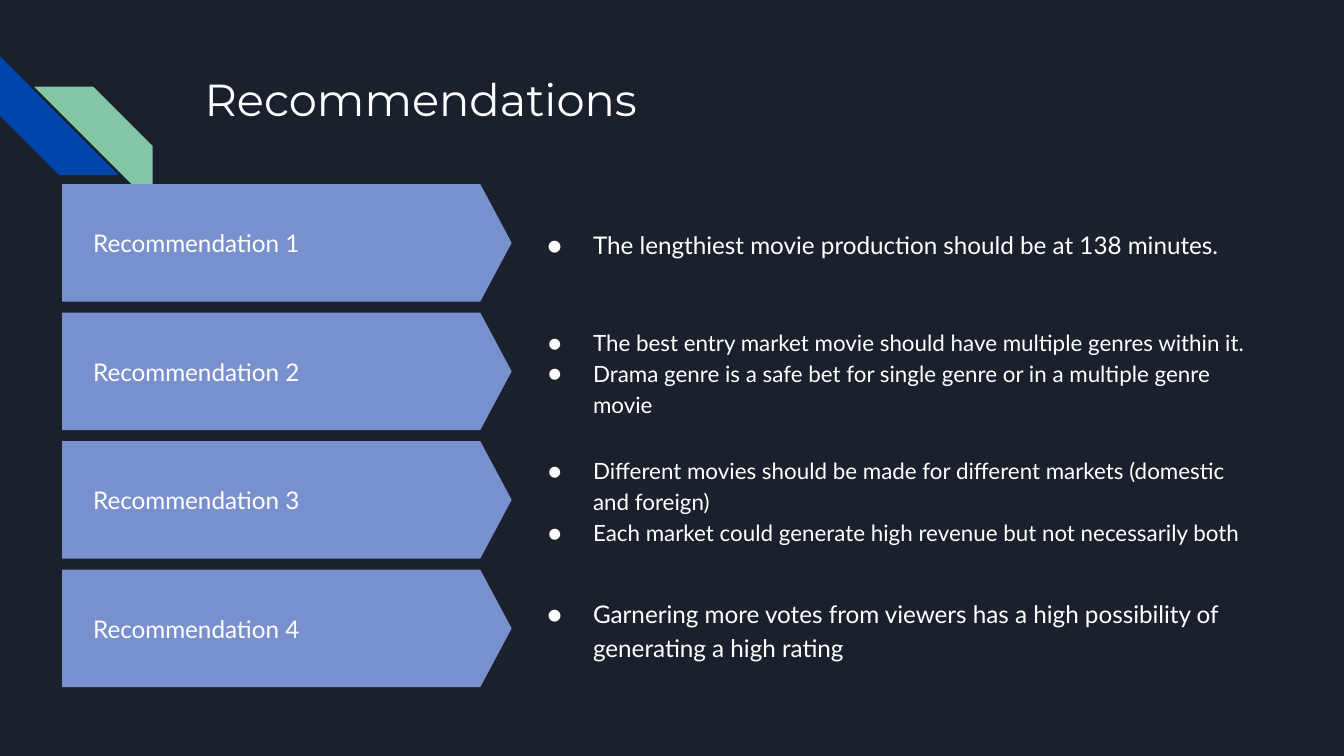
from dataclasses import dataclass

from lxml.etree import SubElement
from pptx import Presentation
from pptx.dml.color import RGBColor
from pptx.enum.shapes import MSO_SHAPE
from pptx.enum.text import MSO_ANCHOR, MSO_AUTO_SIZE, PP_ALIGN
from pptx.oxml.ns import qn
from pptx.util import Pt


@dataclass(frozen=True)
class Theme:
    """Colours, fonts and type sizes of the slide."""
    background: str = "1B212C"
    text: str = "FFFFFF"
    blue: str = "0145AC"
    green: str = "82C7A5"
    plate: str = "7890CD"
    heading_font: str = "Montserrat"
    body_font: str = "Lato"
    title_size: int = 24
    label_size: int = 13
    single_size: int = 13
    list_size: int = 12


THEME = Theme()
INSET = 7.2
ROWS = [
    ("Recommendation 1",
     ["The lengthiest movie production should be at 138 minutes."]),
    ("Recommendation 2",
     ["The best entry market movie should have multiple genres within it.",
      "Drama genre is a safe bet for single genre or in a multiple genre movie"]),
    ("Recommendation 3",
     ["Different movies should be made for different markets (domestic and foreign)",
      "Each market could generate high revenue but not necessarily both"]),
    ("Recommendation 4",
     ["Garnering more votes from viewers has a high possibility of generating a high rating"]),
]


def place(sp, x, y, w, h):
    """Move and size a placeholder, in points."""
    sp.left, sp.top, sp.width, sp.height = Pt(x), Pt(y), Pt(w), Pt(h)


def add_filled(s, kind, box, colour):
    """Add a flat preset shape without line or shadow."""
    sp = s.shapes.add_shape(kind, *map(Pt, box))
    sp.shadow.inherit = False
    sp.fill.solid()
    sp.fill.fore_color.rgb = RGBColor.from_string(colour)
    sp.line.fill.background()
    return sp


def set_text(sp, lines, size, font, anchor, left=INSET):
    """Write left-aligned paragraphs and format their runs."""
    tf = sp.text_frame
    tf.text = "\n".join(lines)
    tf.word_wrap = True
    tf.auto_size = MSO_AUTO_SIZE.NONE
    tf.vertical_anchor = anchor
    tf.margin_left = Pt(left)
    tf.margin_top = tf.margin_right = tf.margin_bottom = Pt(INSET)
    for p in tf.paragraphs:
        p.alignment = PP_ALIGN.LEFT
        p.space_before = Pt(0)
        for r in p.runs:
            r.font.size = Pt(size)
            r.font.name = font
            r.font.bold = False
            r.font.color.rgb = RGBColor.from_string(THEME.text)
    return tf


def add_bullet(p, size):
    """Give a paragraph a round bullet with a hanging indent."""
    p.line_spacing = 1.15
    pPr = p._p.get_or_add_pPr()
    pPr.set("marL", str(Pt(36)))
    pPr.set("indent", str(-Pt(18 + size / 2)))
    colour = SubElement(pPr, qn("a:buClr"))
    SubElement(colour, qn("a:srgbClr"), val=THEME.text)
    SubElement(pPr, qn("a:buFont"), typeface=THEME.body_font)
    SubElement(pPr, qn("a:buChar"), char="●")


def draw_stripes(s, x, y, size):
    """Draw the two diagonal stripes; the box is that of the blue one."""
    blue = add_filled(s, MSO_SHAPE.DIAGONAL_STRIPE, (x, y, size, size), THEME.blue)
    blue.rotation = 270
    green = add_filled(s, MSO_SHAPE.DIAGONAL_STRIPE,
                       (x + 18.2, y + 16.2, size, size), THEME.green)
    green.element.spPr.xfrm.set("flipH", "1")


def draw_title(sp, x, y, w, h):
    """Place the slide title."""
    place(sp, x, y, w, h)
    set_text(sp, ["Recommendations"], THEME.title_size,
             THEME.heading_font, MSO_ANCHOR.TOP)


def draw_row(s, body, label, points, x, y, w, h):
    """Draw one labelled arrow plate with its bullet list beside it."""
    plate = add_filled(s, MSO_SHAPE.PENTAGON, (x, y, 240.8, h), THEME.plate)
    plate.adjustments[0] = 0.267
    set_text(plate, [label], THEME.label_size, THEME.body_font,
             MSO_ANCHOR.MIDDLE, left=16.6)
    list_x = 241.2
    place(body, x + list_x, y, w - list_x, h)
    size = THEME.single_size if len(points) == 1 else THEME.list_size
    tf = set_text(body, points, size, THEME.body_font, MSO_ANCHOR.MIDDLE)
    for p in tf.paragraphs:
        add_bullet(p, size)


def draw_rows(s, bodies, x, y, w, pitch, height):
    """Stack the recommendations at an equal pitch."""
    for i, (body, (label, points)) in enumerate(zip(bodies, ROWS)):
        draw_row(s, body, label, points, x, y + i * pitch, w, height)


def main():
    """Build and save the slide."""
    prs = Presentation()
    prs.slide_width, prs.slide_height = Pt(720), Pt(405)
    s = prs.slides.add_slide(prs.slide_layouts.get_by_name("Comparison"))
    s.background.fill.solid()
    s.background.fill.fore_color.rgb = RGBColor.from_string(THEME.background)
    title, *bodies = s.placeholders
    draw_stripes(s, 0, 30.2, 63.6)
    draw_title(title, 102.4, 31, 554.4, 72)
    draw_rows(s, bodies, 33.3, 98.6, 643.7, 68.85, 63)
    prs.save("out.pptx")


main()
